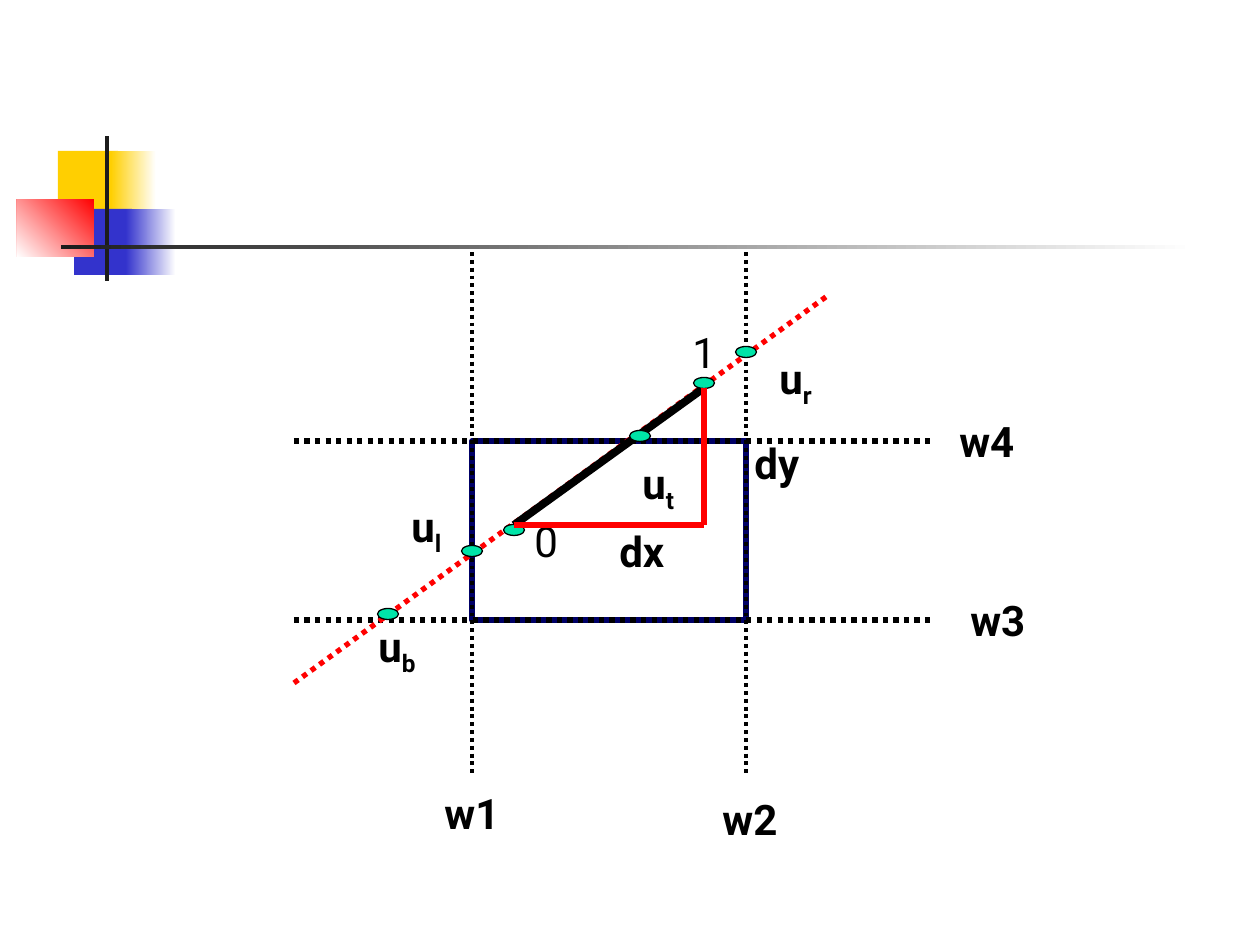
from pptx import Presentation
from pptx.dml.color import RGBColor
from pptx.enum.dml import MSO_LINE
from pptx.enum.shapes import MSO_CONNECTOR, MSO_SHAPE
from pptx.enum.text import MSO_AUTO_SIZE
from pptx.oxml.ns import qn
from pptx.util import Pt

RECT, OVAL = MSO_SHAPE.RECTANGLE, MSO_SHAPE.OVAL
STRAIGHT = MSO_CONNECTOR.STRAIGHT
DOTTED = MSO_LINE.ROUND_DOT
FIT_TEXT = MSO_AUTO_SIZE.SHAPE_TO_FIT_TEXT

WHITE = RGBColor(0xFF, 0xFF, 0xFF)
BLACK = RGBColor(0x00, 0x00, 0x00)
CHARCOAL = RGBColor(0x1C, 0x1C, 0x1C)
YELLOW = RGBColor(0xFF, 0xCF, 0x01)
BLUE = RGBColor(0x33, 0x33, 0xCC)
RED = RGBColor(0xFF, 0x00, 0x00)
NAVY = RGBColor(0x00, 0x00, 0x66)
GREEN = RGBColor(0x00, 0xE4, 0xA8)

FONT = "Roboto"
LEFT, RIGHT, TOP, BOTTOM = 472, 746, 441, 620  # clipping window
START, END = (514, 525), (704, 388)  # clipped segment
DOT_W, DOT_H = 21, 11


def px(n):
    return round(n * 914400 / 126)


def add_shape(s, kind, box, fill=None, line=None, width=0.75):
    sp = s.shapes.add_shape(kind, *map(px, box))
    sp.shadow.inherit = False
    if fill is None:
        sp.fill.background()
    else:
        sp.fill.solid()
        sp.fill.fore_color.rgb = fill
    if line is None:
        sp.line.fill.background()
    else:
        sp.line.color.rgb = line
        sp.line.width = Pt(width)
    return sp


def add_fade(s, box, color, angle=0):
    """Rectangle that fades from color to white; angle is counter-clockwise."""
    sp = add_shape(s, RECT, box)
    sp.fill.gradient()
    sp.fill.gradient_angle = angle
    for stop, rgb in zip(sp.fill.gradient_stops, (color, WHITE)):
        stop.color.rgb = rgb


def add_line(s, start, end, color, width, dash=None):
    cx = s.shapes.add_connector(STRAIGHT, *map(px, start + end))
    cx.line.color.rgb = color
    cx.line.width = Pt(width)
    if dash is not None:
        cx.line.dash_style = dash
    sp_pr = cx._element.spPr
    sp_pr.append(sp_pr.makeelement(qn("a:effectLst"), {}))


def add_label(s, box, text, sub="", bold=True):
    tf = s.shapes.add_textbox(*map(px, box)).text_frame
    tf.word_wrap = False
    tf.auto_size = FIT_TEXT
    p = tf.paragraphs[0]
    p.text = text
    if sub:
        r = p.add_run()
        r.text = sub
        r.font._element.set("baseline", "-25000")
    for r in p.runs:
        r.font.name = FONT
        r.font.size = Pt(24)
        r.font.bold = bold
        r.font.color.rgb = BLACK


def add_dot(s, x, y):
    add_shape(s, OVAL, (x - DOT_W / 2, y - DOT_H / 2, DOT_W, DOT_H), GREEN, BLACK)


def draw_ornament(s):
    add_shape(s, RECT, (58, 151, 60, 66), YELLOW)
    add_fade(s, (111, 151, 45, 66), YELLOW)
    add_shape(s, RECT, (74, 209, 58, 66), BLUE)
    add_fade(s, (126, 209, 50, 66), BLUE)
    add_fade(s, (17, 199, 77, 58), RED, 225)
    add_shape(s, RECT, (105, 136, 4, 145), CHARCOAL)
    add_fade(s, (61, 245, 1134, 4), CHARCOAL)


def draw_lines(s):
    add_shape(s, RECT, (LEFT, TOP, RIGHT - LEFT, BOTTOM - TOP), line=NAVY, width=3)
    for y in (BOTTOM, TOP):
        add_line(s, (294, y), (934, y), BLACK, 3, DOTTED)
    for x in (RIGHT, LEFT):
        add_line(s, (x, 252), (x, 777), BLACK, 2.25, DOTTED)
    add_line(s, (294, 683), (830, 294), RED, 3, DOTTED)
    add_line(s, START, END, BLACK, 4.5)


def draw_labels(s):
    for text, x, y in (("w1", 432, 781), ("w2", 710, 787), ("w3", 958, 588), ("w4", 947, 409)):
        add_label(s, (x, y, 84, 63), text)
    for sub, x, y, w in (("b", 366, 614, 68), ("l", 399, 494, 60),
                         ("t", 630, 451, 63), ("r", 767, 346, 63)):
        add_label(s, (x, y, w, 70), "u", sub)
    for text, x, y in (("0", 522, 509), ("1", 680, 320)):
        add_label(s, (x, y, 49, 63), text, bold=False)
    for text, x, y in (("dx", 607, 519), ("dy", 742, 431)):
        add_label(s, (x, y, 76, 63), text)


def main():
    prs = Presentation()
    prs.slide_width, prs.slide_height = px(1260), px(945)
    s = prs.slides.add_slide(prs.slide_layouts[6])
    draw_ornament(s)
    draw_lines(s)
    draw_labels(s)
    for x, y in ((388, 614), (LEFT, 551), (640, 436), (RIGHT, 352), (514, 530), (704, 383)):
        add_dot(s, x, y)
    corner = (END[0], START[1])
    add_line(s, START, corner, RED, 3)
    add_line(s, END, corner, RED, 3)
    prs.save("out.pptx")


if __name__ == "__main__":
    main()
